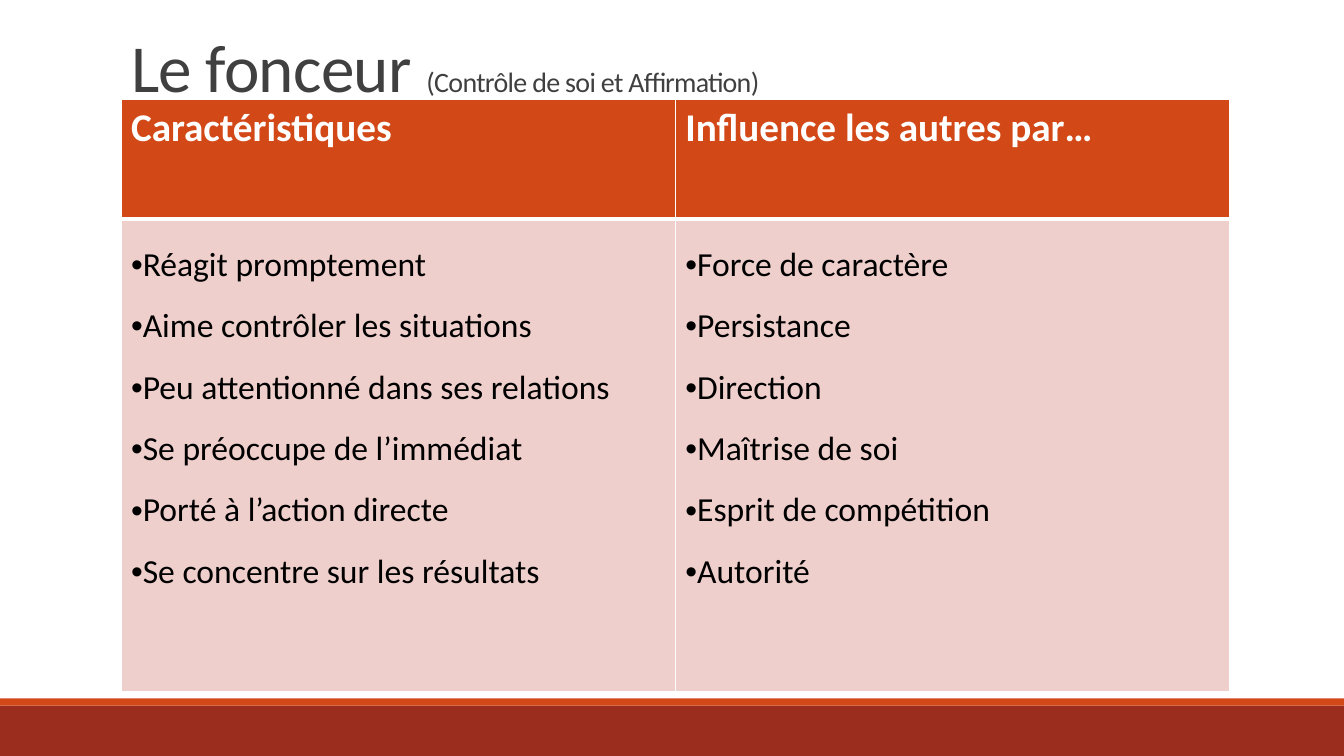
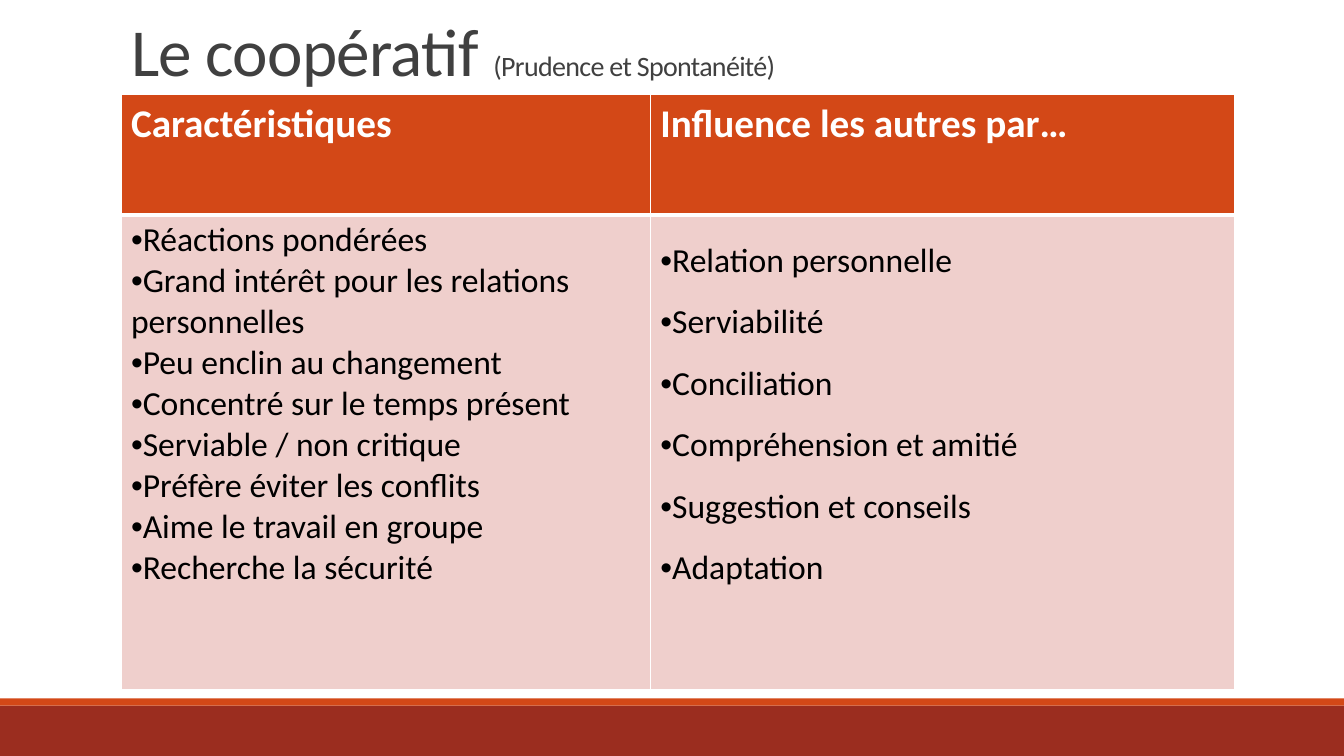
from dataclasses import dataclass

from lxml.etree import SubElement
from pptx import Presentation
from pptx.dml.color import RGBColor
from pptx.enum.shapes import MSO_SHAPE
from pptx.enum.text import MSO_ANCHOR, MSO_AUTO_SIZE, PP_ALIGN
from pptx.oxml.ns import qn
from pptx.slide import Slide
from pptx.table import _Cell
from pptx.text.text import _Paragraph
from pptx.util import Cm, Pt

FONT = "Calibri"
WHITE = "FFFFFF"
BLACK = "000000"
TITLE_GREY = "404040"
ORANGE = "D34817"
BRICK = "9B2D1F"
PINK = "EFCFCC"

SLIDE_WIDTH = 33.87
SLIDE_HEIGHT = 19.05
LEFT = 3.05
TITLE_WIDTH = 27.94
TITLE_HEIGHT = 4.04
HEADINGS = ("Caractéristiques", "Influence les autres par…")


@dataclass(frozen=True)
class Band:
    top: float
    height: float
    color: str


@dataclass(frozen=True)
class Column:
    width: float
    items: tuple[str, ...]
    line_spacing: float = 1.5


@dataclass(frozen=True)
class Profile:
    name: str
    detail: str
    title_top: float
    table_top: float
    row_heights: tuple[float, float]
    columns: tuple[Column, Column]


BANDS = (Band(17.78, 1.27, BRICK), Band(17.6, 0.18, ORANGE))

PROFILES = (
    Profile(
        "Le fonceur ",
        "(Contrôle de soi et Affirmation)",
        -1.24,
        2.51,
        (3.0, 11.92),
        (
            Column(13.97, (
                "Réagit promptement",
                "Aime contrôler les situations",
                "Peu attentionné dans ses relations",
                "Se préoccupe de l’immédiat",
                "Porté à l’action directe",
                "Se concentre sur les résultats",
            )),
            Column(13.97, (
                "Force de caractère",
                "Persistance",
                "Direction",
                "Maîtrise de soi",
                "Esprit de compétition",
                "Autorité",
            )),
        ),
    ),
    Profile(
        "Le coopératif ",
        "(Prudence et Spontanéité)",
        -1.65,
        2.39,
        (3.02, 11.96),
        (
            Column(13.34, (
                "Réactions pondérées",
                "Grand intérêt pour les relations personnelles",
                "Peu enclin au changement",
                "Concentré sur le temps présent",
                "Serviable / non critique",
                "Préfère éviter les conflits",
                "Aime le travail en groupe",
                "Recherche la sécurité",
            ), 1.0),
            Column(14.73, (
                "Relation personnelle",
                "Serviabilité",
                "Conciliation",
                "Compréhension et amitié",
                "Suggestion et conseils",
                "Adaptation",
            )),
        ),
    ),
)


def rgb(color: str) -> RGBColor:
    return RGBColor.from_string(color)


def set_font(paragraph: _Paragraph, size: float, color: str, bold: bool = False) -> None:
    font = paragraph.font
    font.name = FONT
    font.size = Pt(size)
    font.bold = bold
    font.color.rgb = rgb(color)


def add_bullet(paragraph: _Paragraph) -> None:
    properties = paragraph._p.get_or_add_pPr()
    properties.set("marL", "0")
    properties.set("indent", "0")
    SubElement(properties, qn("a:buFont"), typeface="Arial")
    SubElement(properties, qn("a:buChar"), char="•")


def style_cell(cell: _Cell, fill: str, bottom_width: float) -> None:
    properties = cell._tc.get_or_add_tcPr()
    for side, width in (("L", 1), ("R", 1), ("T", 1), ("B", bottom_width)):
        border = SubElement(properties, qn(f"a:ln{side}"), w=str(Pt(width)))
        SubElement(SubElement(border, qn("a:solidFill")), qn("a:srgbClr"), val=WHITE)
    cell.fill.solid()
    cell.fill.fore_color.rgb = rgb(fill)


def add_band(page: Slide, band: Band) -> None:
    shape = page.shapes.add_shape(
        MSO_SHAPE.RECTANGLE, Cm(0), Cm(band.top), Cm(SLIDE_WIDTH), Cm(band.height)
    )
    shape.shadow.inherit = False
    shape.fill.solid()
    shape.fill.fore_color.rgb = rgb(band.color)
    shape.line.fill.background()


def set_title(page: Slide, profile: Profile) -> None:
    title = page.shapes.title
    title.left, title.top = Cm(LEFT), Cm(profile.title_top)
    title.width, title.height = Cm(TITLE_WIDTH), Cm(TITLE_HEIGHT)
    frame = title.text_frame
    frame.auto_size = MSO_AUTO_SIZE.NONE
    frame.word_wrap = True
    frame.vertical_anchor = MSO_ANCHOR.BOTTOM
    para = frame.paragraphs[0]
    para.alignment = PP_ALIGN.LEFT
    para.line_spacing = 0.85
    set_font(para, 48, TITLE_GREY)
    for text, size in ((profile.name, 48), (profile.detail, 20)):
        span = para.add_run()
        span.text = text
        span.font.size = Pt(size)
        span._r.get_or_add_rPr().set("spc", "-50")


def fill_heading(cell: _Cell, heading: str) -> None:
    style_cell(cell, ORANGE, 3)
    para = cell.text_frame.paragraphs[0]
    para.text = heading
    set_font(para, 28, WHITE, bold=True)


def fill_list(cell: _Cell, column: Column) -> None:
    style_cell(cell, PINK, 1)
    frame = cell.text_frame
    for index, item in enumerate(column.items):
        para = frame.add_paragraph() if index else frame.paragraphs[0]
        para.text = item
        add_bullet(para)
        para.line_spacing = column.line_spacing
        set_font(para, 24, BLACK)


def add_profile_table(page: Slide, profile: Profile) -> None:
    width = sum(column.width for column in profile.columns)
    table = page.shapes.add_table(
        2, len(profile.columns), Cm(LEFT), Cm(profile.table_top),
        Cm(width), Cm(sum(profile.row_heights)),
    ).table
    table.horz_banding = False
    for row, height in zip(table.rows, profile.row_heights):
        row.height = Cm(height)
    for index, (heading, column) in enumerate(zip(HEADINGS, profile.columns)):
        table.columns[index].width = Cm(column.width)
        fill_heading(table.cell(0, index), heading)
        fill_list(table.cell(1, index), column)


def main() -> None:
    deck = Presentation()
    deck.slide_width, deck.slide_height = Cm(SLIDE_WIDTH), Cm(SLIDE_HEIGHT)
    title_only = deck.slide_layouts.get_by_name("Title Only")
    for profile in PROFILES:
        page = deck.slides.add_slide(title_only)
        for band in BANDS:
            add_band(page, band)
        set_title(page, profile)
        add_profile_table(page, profile)
    deck.save("out.pptx")


if __name__ == "__main__":
    main()
